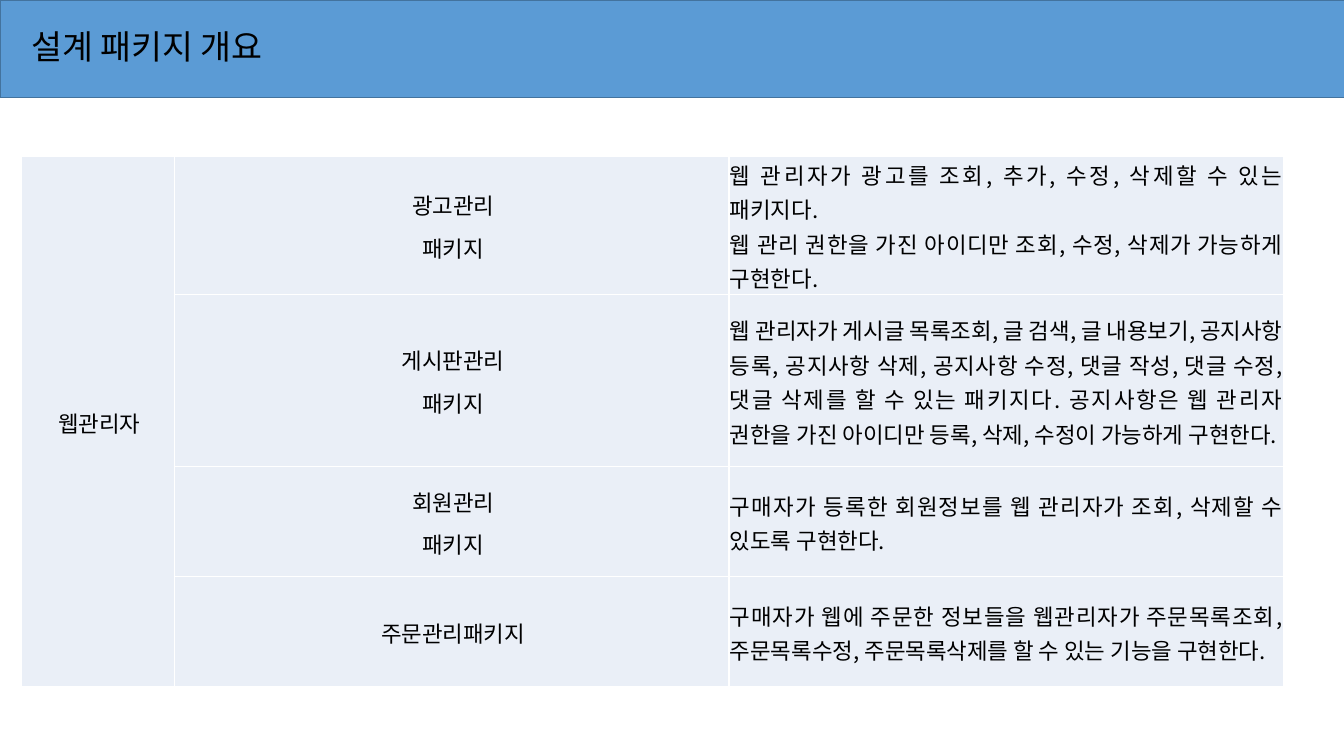
from lxml import etree
from pptx import Presentation
from pptx.dml.color import RGBColor
from pptx.enum.shapes import MSO_SHAPE
from pptx.enum.text import MSO_ANCHOR, PP_ALIGN
from pptx.oxml.ns import qn
from pptx.util import Inches, Pt

RECTANGLE = MSO_SHAPE.RECTANGLE
MIDDLE = MSO_ANCHOR.MIDDLE
LEFT, CENTER, JUSTIFY = PP_ALIGN.LEFT, PP_ALIGN.CENTER, PP_ALIGN.JUSTIFY
FONT = "Noto Sans CJK KR"
COLORS = {"bar": "5B9BD5", "bar_line": "43739E", "cell": "EAEFF7",
          "border": "FFFFFF", "text": "000000"}

TITLE = "설계 패키지 개요"
ROLE = "웹관리자"
COLUMN_WIDTHS = [1.52, 5.5, 5.5]
ROW_HEIGHTS = [1.29, 1.62, 1.09, 1.09]
PACKAGES = [
    (["광고관리", "패키지"],
     ["웹 관리자가 광고를 조회, 추가, 수정, 삭제할 수 있는 패키지다.",
      "웹 관리 권한을 가진 아이디만 조회, 수정, 삭제가 가능하게 구현한다."]),
    (["게시판관리", "패키지"],
     ["웹 관리자가 게시글 목록조회, 글 검색, 글 내용보기, 공지사항 등록, "
      "공지사항 삭제, 공지사항 수정, 댓글 작성, 댓글 수정, 댓글 삭제를 할 수 있는 "
      "패키지다. 공지사항은 웹 관리자 권한을 가진 아이디만 등록, 삭제, 수정이 "
      "가능하게 구현한다."]),
    (["회원관리", "패키지"],
     ["구매자가 등록한 회원정보를 웹 관리자가 조회, 삭제할 수 있도록 구현한다."]),
    (["주문관리패키지"],
     ["구매자가 웹에 주문한 정보들을 웹관리자가 주문목록조회, 주문목록수정, "
      "주문목록삭제를 할 수 있는 기능을 구현한다."]),
]


def color(name):
    return RGBColor.from_string(COLORS[name])


def format_paragraph(paragraph, size, alignment, line_spacing):
    paragraph.alignment = alignment
    paragraph.line_spacing = line_spacing
    font = paragraph.font
    font.size = Pt(size)
    font.name = FONT
    font.color.rgb = color("text")
    # Hangul takes the East Asian typeface
    defaults = paragraph._p.pPr.find(qn("a:defRPr"))
    etree.SubElement(defaults, qn("a:ea"), typeface=FONT)


def add_title_bar(slide):
    bar = slide.shapes.add_shape(RECTANGLE, 0, 0, Inches(13.45), Inches(0.97))
    bar.shadow.inherit = False
    bar.fill.solid()
    bar.fill.fore_color.rgb = color("bar")
    bar.line.color.rgb = color("bar_line")
    bar.line.width = Pt(1)
    return bar


def set_title(slide, bar):
    title = slide.shapes.title
    title._element.addprevious(bar._element)  # the bar lies behind the title
    title.left, title.top = Inches(0.21), Inches(0.2)
    title.width, title.height = Inches(10.16), Inches(0.57)
    frame = title.text_frame
    frame.text = TITLE
    frame.vertical_anchor = MIDDLE
    format_paragraph(frame.paragraphs[0], 24, LEFT, 0.9)


def set_borders(cell):
    properties = cell._tc.get_or_add_tcPr()
    for index, side in enumerate(("lnL", "lnR", "lnT", "lnB")):
        line = etree.Element(qn(f"a:{side}"), w=str(Pt(1)))
        fill = etree.SubElement(line, qn("a:solidFill"))
        etree.SubElement(fill, qn("a:srgbClr"), val=COLORS["border"])
        properties.insert(index, line)


def style_cell(cell):
    cell.fill.solid()
    cell.fill.fore_color.rgb = color("cell")
    cell.vertical_anchor = MIDDLE
    cell.margin_left = cell.margin_right = Inches(0.01)
    cell.margin_top = cell.margin_bottom = 0
    set_borders(cell)


def fill_cell(cell, lines, alignment):
    cell.text = "\n".join(lines)
    for paragraph in cell.text_frame.paragraphs:
        if alignment == CENTER:
            properties = paragraph._p.get_or_add_pPr()
            properties.set("marL", str(Inches(0.17)))
            properties.set("indent", str(Inches(-0.14)))
            paragraph.space_after = Pt(6)
        format_paragraph(paragraph, 16, alignment, 1.07)


def add_package_table(slide):
    table = slide.shapes.add_table(
        len(ROW_HEIGHTS), len(COLUMN_WIDTHS), Inches(0.21), Inches(1.55),
        Inches(sum(COLUMN_WIDTHS)), Inches(sum(ROW_HEIGHTS))).table
    table.first_row = table.horz_banding = False
    for column, width in zip(table.columns, COLUMN_WIDTHS):
        column.width = Inches(width)
    for row, height in zip(table.rows, ROW_HEIGHTS):
        row.height = Inches(height)
        for cell in row.cells:
            style_cell(cell)

    # One role spans all packages
    role_cell = table.cell(0, 0)
    role_cell.merge(table.cell(len(PACKAGES) - 1, 0))
    fill_cell(role_cell, [ROLE], CENTER)
    for index, (name, description) in enumerate(PACKAGES):
        fill_cell(table.cell(index, 1), name, CENTER)
        fill_cell(table.cell(index, 2), description, JUSTIFY)


def main():
    presentation = Presentation()
    presentation.slide_width = Inches(13.33)
    presentation.slide_height = Inches(7.5)
    slide = presentation.slides.add_slide(presentation.slide_layouts[5])

    # Heading
    set_title(slide, add_title_bar(slide))
    # Packages of the web administrator
    add_package_table(slide)
    presentation.save("out.pptx")


if __name__ == "__main__":
    main()
